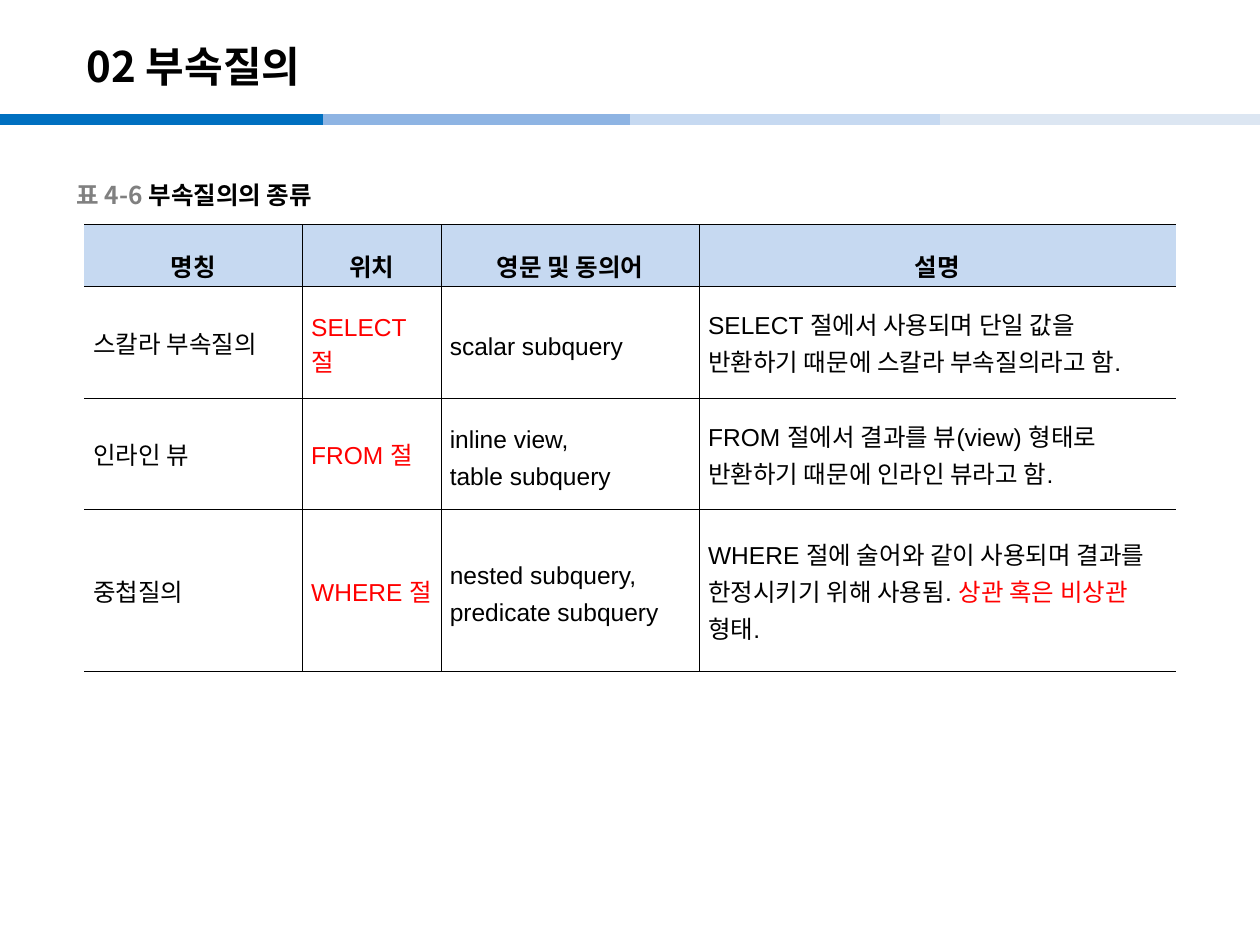
import pptx
import pptx.dml.color
import pptx.enum.shapes
import pptx.enum.text
import pptx.oxml
import pptx.oxml.ns
import pptx.util

COLUMNS, ROWS = 1000, 750
UNIT = pptx.util.Inches(10) // COLUMNS
KOREAN_FONT = "Noto Sans CJK KR"
BLACK, GREY, RED, PALE_BLUE = "000000", "808080", "FF0000", "C6D9F1"
MIDDLE = pptx.enum.text.MSO_ANCHOR.MIDDLE
CENTER = pptx.enum.text.PP_ALIGN.CENTER
LEFT = pptx.enum.text.PP_ALIGN.LEFT

BAND = [(0, "0070C0"), (256, "8EB4E3"), (500, PALE_BLUE), (746, "DCE6F2")]
BAND_ROW, BAND_LENGTH = 95, 256

TABLE_COLUMNS = [173, 110, 205, 378]
TABLE_ROWS = [49, 89, 88, 129]
HEADINGS = ["명칭", "위치", "영문 및 동의어", "설명"]
SUBQUERIES = [
    ["스칼라 부속질의", "SELECT 절", ["scalar subquery"],
     [("SELECT 절에서 사용되며 단일 값을 반환하기 때문에 스칼라 부속질의라고 함.", BLACK)]],
    ["인라인 뷰", "FROM 절", ["inline view,", "table subquery"],
     [("FROM 절에서 결과를 뷰(view) 형태로 반환하기 때문에 인라인 뷰라고 함.", BLACK)]],
    ["중첩질의", "WHERE 절", ["nested subquery,", "predicate subquery"],
     [("WHERE 절에 술어와 같이 사용되며 결과를 한정시키기 위해 사용됨. ", BLACK),
      ("상관 혹은 비상관", RED), (" 형태.", BLACK)]],
]


def grid(*cells):
    return [cell * UNIT for cell in cells]


def color(hex_string):
    return pptx.dml.color.RGBColor.from_string(hex_string)


def apply_format(target, values):
    for name, value in values.items():
        setattr(target, name, value)


def append_element(parent, xml):
    namespace = pptx.oxml.ns.nsdecls("a")
    parent.append(pptx.oxml.parse_xml(xml.replace("XMLNS", namespace)))


def add_run(paragraph, text, hex_string, size, font_name, bold):
    run = paragraph.add_run()
    run.text = text
    apply_format(run.font, {"name": font_name, "size": pptx.util.Pt(size), "bold": bold})
    run.font.color.rgb = color(hex_string)
    run.font._element.set("kern", "0")
    append_element(run.font._element, f'<a:ea XMLNS typeface="{KOREAN_FONT}"/>')


def add_band(slide):
    for column, hex_string in BAND:
        connector = slide.shapes.add_connector(
            pptx.enum.shapes.MSO_CONNECTOR.STRAIGHT,
            *grid(column, BAND_ROW, column + BAND_LENGTH, BAND_ROW))
        connector.line.color.rgb = color(hex_string)
        connector.line.width = pptx.util.Pt(6)
        append_element(connector._element.spPr, "<a:effectLst XMLNS/>")


def add_text(slide, place, runs, size):
    frame = slide.shapes.add_textbox(*grid(*place)).text_frame
    apply_format(frame, {"word_wrap": True, "vertical_anchor": MIDDLE})
    for text, hex_string in runs:
        add_run(frame.paragraphs[0], text, hex_string, size, KOREAN_FONT, True)


def add_borders(cell, sides):
    properties = cell._tc.get_or_add_tcPr()
    line = f'<a:solidFill><a:srgbClr val="{BLACK}"/></a:solidFill>'
    for side in "LRTB":
        paint = line if side in sides else "<a:noFill/>"
        append_element(properties, f'<a:ln{side} XMLNS w="{pptx.util.Pt(0.28)}">{paint}</a:ln{side}>')


def fill_cell(cell, paragraphs, sides, heading):
    side_margin, end_margin = grid(7, 2)
    apply_format(cell, {"margin_left": side_margin, "margin_right": side_margin,
                        "margin_top": end_margin, "margin_bottom": end_margin,
                        "vertical_anchor": MIDDLE})
    add_borders(cell, sides)
    if heading:
        cell.fill.solid()
        cell.fill.fore_color.rgb = color(PALE_BLUE)
    else:
        cell.fill.background()
    frame = cell.text_frame
    for index, runs in enumerate(paragraphs):
        paragraph = frame.add_paragraph() if index else frame.paragraphs[0]
        apply_format(paragraph, {"alignment": CENTER if heading else LEFT,
                                 "line_spacing": 1.6 if heading else pptx.util.Pt(21)})
        for text, hex_string in runs:
            add_run(paragraph, text, hex_string, 14, "Arial", heading)


def table_content():
    yield [[[(heading, BLACK)]] for heading in HEADINGS]
    for name, clause, synonyms, description in SUBQUERIES:
        yield [[[(name, BLACK)]], [[(clause, RED)]],
               [[(synonym, BLACK)] for synonym in synonyms], [description]]


def add_subquery_table(slide):
    place = grid(67, 178, sum(TABLE_COLUMNS), sum(TABLE_ROWS))
    table = slide.shapes.add_table(len(TABLE_ROWS), len(TABLE_COLUMNS), *place).table
    apply_format(table, {"first_row": False, "horz_banding": False})
    for column, width in zip(table.columns, grid(*TABLE_COLUMNS)):
        column.width = width
    for row, height in zip(table.rows, grid(*TABLE_ROWS)):
        row.height = height
    last = len(TABLE_COLUMNS) - 1
    for row_index, row in enumerate(table_content()):
        for column_index, paragraphs in enumerate(row):
            sides = "TB" + "L" * (column_index > 0) + "R" * (column_index < last)
            fill_cell(table.cell(row_index, column_index), paragraphs, sides, row_index == 0)


def main():
    presentation = pptx.Presentation()
    apply_format(presentation, {"slide_width": COLUMNS * UNIT, "slide_height": ROWS * UNIT})
    slide = presentation.slides.add_slide(presentation.slide_layouts[6])
    add_band(slide)
    add_text(slide, (59, 22, 827, 60), [("02 부속질의", BLACK)], 24)
    add_subquery_table(slide)
    add_text(slide, (51, 139, 225, 31), [("표 4-6 ", GREY), ("부속질의의 종류", BLACK)], 14)
    presentation.save("out.pptx")


if __name__ == "__main__":
    main()
